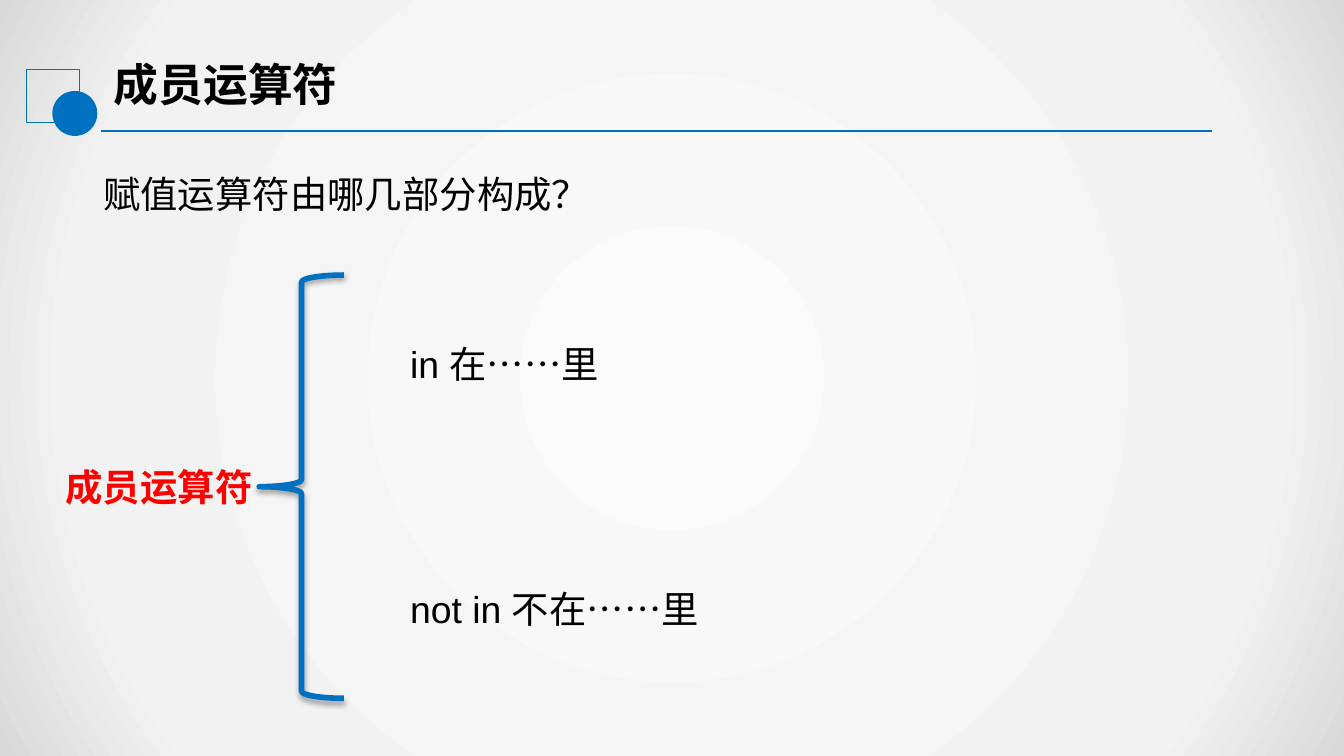
from lxml import etree
from pptx import Presentation, util as u
from pptx.dml.color import RGBColor
from pptx.enum import shapes, text
from pptx.oxml import parse_xml
from pptx.oxml.ns import nsdecls, qn

WIDTH, HEIGHT = 25.4, 14.29
BLUE, RED, BLACK = "0070C0", "FF0000", "000000"
LATIN, CHINESE = "Arial", "Noto Sans CJK SC"


def color(value):
    return RGBColor.from_string(value)


class Canvas:
    """Holds the style and the current slide; lengths are in centimetres."""

    def __init__(self, slide):
        self.slide = slide
        self.shapes = slide.shapes

    def background(self, base, stops):
        """Plain base colour under a full-slide circular gradient."""
        fill = self.slide.background.fill
        fill.solid()
        fill.fore_color.rgb = color(base)
        panel = self.shape(shapes.MSO_SHAPE.RECTANGLE, 0, 0, WIDTH, HEIGHT)
        steps = "".join(
            f'<a:gs pos="{position * 1000}"><a:srgbClr val="{value}"/></a:gs>'
            for position, value in stops)
        gradient = parse_xml(
            f'<a:gradFill {nsdecls("a")} rotWithShape="1"><a:gsLst>{steps}</a:gsLst>'
            '<a:path path="circle">'
            '<a:fillToRect l="50000" t="50000" r="50000" b="50000"/>'
            '</a:path></a:gradFill>')
        properties = panel._element.spPr
        properties.replace(properties.find(qn("a:noFill")), gradient)

    def shape(self, kind, left, top, width, height, fill=None, line=None, weight=0.75):
        shape = self.shapes.add_shape(
            kind, u.Cm(left), u.Cm(top), u.Cm(width), u.Cm(height))
        shape.shadow.inherit = False
        if fill:
            shape.fill.solid()
            shape.fill.fore_color.rgb = color(fill)
        else:
            shape.fill.background()
        if line:
            shape.line.color.rgb = color(line)
            shape.line.width = u.Pt(weight)
        else:
            shape.line.fill.background()
        return shape

    def brace(self, left, top, width, height):
        """Left brace with a soft shadow below it."""
        shape = self.shape(shapes.MSO_SHAPE.LEFT_BRACE, left, top, width, height,
                           line=BLUE, weight=3)
        effects = shape._element.spPr.find(qn("a:effectLst"))
        effects.append(parse_xml(
            f'<a:outerShdw {nsdecls("a")} blurRad="{u.Pt(3.1)}" dist="{u.Pt(1.8)}" '
            'dir="5400000" rotWithShape="0"><a:srgbClr val="000000">'
            '<a:alpha val="35000"/></a:srgbClr></a:outerShdw>'))

    def rule(self, left, right, y):
        line = self.shapes.add_connector(
            shapes.MSO_CONNECTOR.STRAIGHT, u.Cm(left), u.Cm(y), u.Cm(right), u.Cm(y))
        line.line.color.rgb = color(BLUE)
        line.line.width = u.Pt(1.25)
        etree.SubElement(line._element.spPr, qn("a:effectLst"))

    def label(self, words, left, top, width, height=1.12, size=20,
              ink=BLACK, bold=False, font=LATIN):
        box = self.shapes.add_textbox(
            u.Cm(left), u.Cm(top), u.Cm(width), u.Cm(height))
        frame = box.text_frame
        frame.word_wrap = True
        frame.auto_size = text.MSO_AUTO_SIZE.SHAPE_TO_FIT_TEXT
        paragraph = frame.paragraphs[0]
        paragraph.text = words
        paragraph.font.size = u.Pt(size)
        paragraph.font.bold = bold
        paragraph.font.color.rgb = color(ink)
        paragraph.font.name = font
        defaults = paragraph._p.pPr.find(qn("a:defRPr"))
        etree.SubElement(defaults, qn("a:ea"), typeface=CHINESE)


def main():
    presentation = Presentation()
    presentation.slide_width = u.Cm(WIDTH)
    presentation.slide_height = u.Cm(HEIGHT)
    canvas = Canvas(presentation.slides.add_slide(presentation.slide_layouts[6]))

    canvas.background("F2F2F2", [(0, "FBFBFB"), (79, "F2F2F2"), (100, "D9D9D9")])
    canvas.label("成员运算符", 1.9, 0.94, 11.6, 1.28, size=24, bold=True, font=CHINESE)
    canvas.shape(shapes.MSO_SHAPE.RECTANGLE, 0.5, 1.32, 1, 1, line=BLUE)
    canvas.rule(1.9, 22.9, 2.47)
    canvas.shape(shapes.MSO_SHAPE.OVAL, 0.99, 1.72, 0.85, 0.85, fill=BLUE)

    canvas.label("赋值运算符由哪几部分构成？", 1.7, 3.12, 10.13)
    canvas.label("成员运算符", 0.99, 8.64, 4.5, ink=RED, bold=True)
    canvas.brace(4.9, 5.2, 1.6, 8)
    for words, top in (("in 在……里", 6.32), ("not in 不在……里", 10.95)):
        canvas.label(words, 7.5, top, 6.93)

    presentation.save("out.pptx")


if __name__ == "__main__":
    main()
